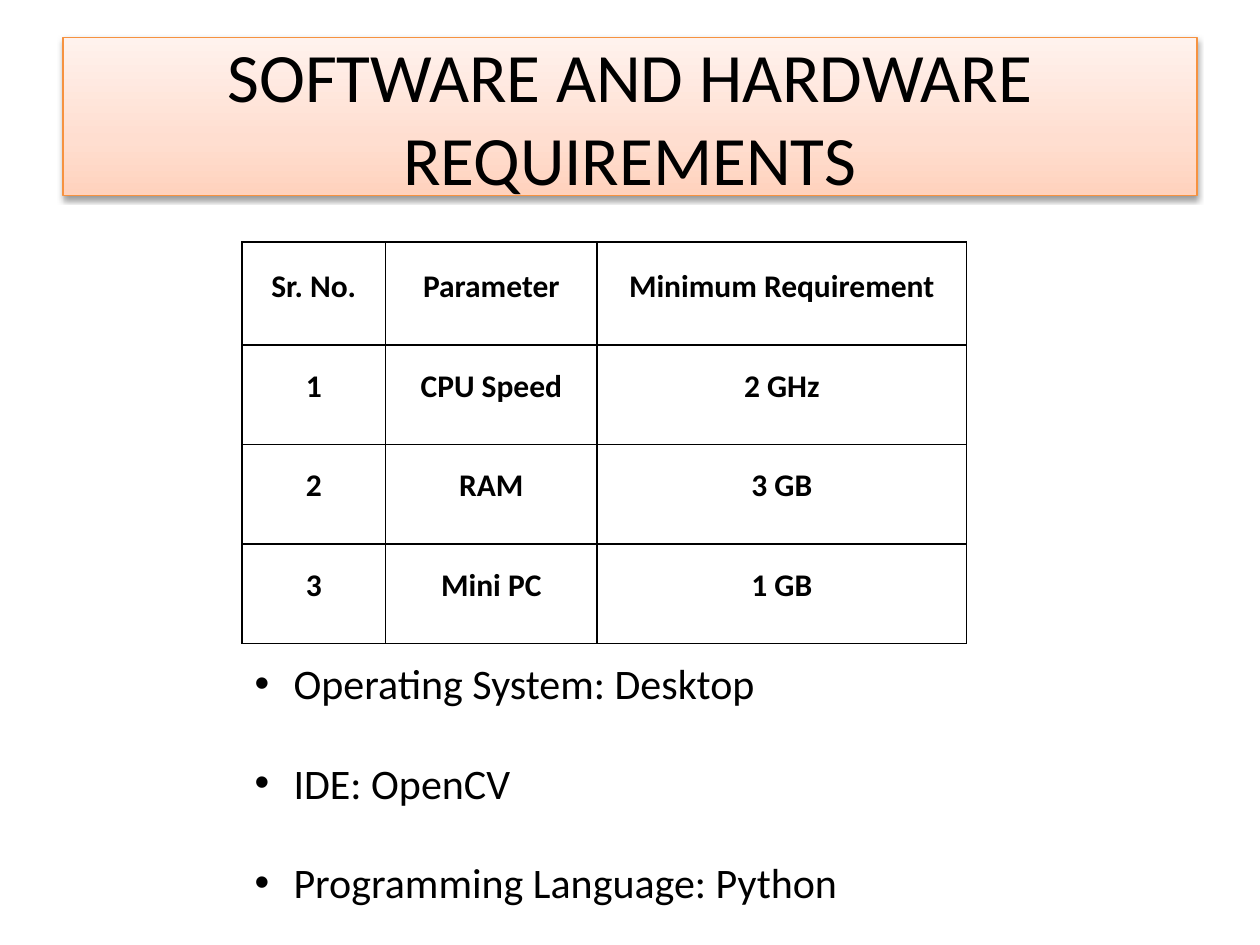
"""Build a slide of software and hardware requirements with a table and a list."""
from lxml import etree
from pptx import Presentation
from pptx.dml.color import RGBColor
from pptx.enum.text import MSO_ANCHOR, MSO_AUTO_SIZE, PP_ALIGN
from pptx.oxml import parse_xml
from pptx.oxml.ns import qn
from pptx.util import Inches, Pt

CENTER = PP_ALIGN.CENTER
MIDDLE, BOTTOM = MSO_ANCHOR.MIDDLE, MSO_ANCHOR.BOTTOM
NO_AUTOFIT = MSO_AUTO_SIZE.NONE
NAMESPACE = 'xmlns:a="http://schemas.openxmlformats.org/drawingml/2006/main"'
BLACK = "000000"
HEADER = ["Sr. No.", "Parameter", "Minimum Requirement"]
REQUIREMENTS = [["1", "CPU Speed", "2 GHz"], ["2", "RAM", "3 GB"], ["3", "Mini PC", "1 GB"]]
SOFTWARE = ["Operating System: Desktop", "IDE: OpenCV", "Programming Language: Python"]
COLUMN_WIDTHS = [1.14, 1.68, 2.93]
GRADIENT = [(0, "FFD2BD"), (35, "FFDED0"), (100, "FFF2ED")]


def color(value):
    return RGBColor.from_string(value)


def add_run(paragraph, text, size, bold=False):
    run = paragraph.add_run()
    run.text = text
    run.font.name = "Calibri"
    run.font.size = Pt(size)
    run.font.bold = bold
    run.font.color.rgb = color(BLACK)


presentation = Presentation()
presentation.slide_width, presentation.slide_height = Inches(10), Inches(7.5)
slide = presentation.slides.add_slide(presentation.slide_layouts[1])

title = slide.shapes.title
title.left, title.top, title.width, title.height = Inches(0.5), Inches(0.3), Inches(9), Inches(1.25)
title.text_frame.auto_size = NO_AUTOFIT
title.text_frame.vertical_anchor = MIDDLE
paragraph = title.text_frame.paragraphs[0]
paragraph.alignment = CENTER
add_run(paragraph, "SOFTWARE AND HARDWARE REQUIREMENTS", 39.6)
stops = "".join(
    f'<a:gs pos="{position * 1000}"><a:srgbClr val="{value}"/></a:gs>' for position, value in GRADIENT
)
title.line.color.rgb = color("F69240")
title.line.width = Pt(0.75)
title.line._ln.addprevious(parse_xml(
    f'<a:gradFill {NAMESPACE} rotWithShape="1"><a:gsLst>{stops}</a:gsLst>'
    '<a:lin ang="16200000" scaled="0"/></a:gradFill>'
))
title.line._ln.addnext(parse_xml(
    f'<a:effectLst {NAMESPACE}><a:outerShdw blurRad="40000" dist="20000" dir="5400000" rotWithShape="0">'
    f'<a:srgbClr val="{BLACK}"><a:alpha val="38000"/></a:srgbClr></a:outerShdw></a:effectLst>'
))

table_rows = [HEADER] + REQUIREMENTS
table = slide.shapes.add_table(
    2 * len(table_rows), len(HEADER), Inches(1.92), Inches(1.92), Inches(5.75), Inches(3.15)
).table
table.first_row = table.horz_banding = False
for column, width in zip(table.columns, COLUMN_WIDTHS):
    column.width = Inches(width)
for row_index, row in enumerate(table.rows):
    is_spacer = row_index % 2 == 1
    row.height = Inches(0.31 if is_spacer else 0.51 if row_index == 0 else 0.48)
    for column_index, cell in enumerate(row.cells):
        cell.margin_left = cell.margin_right = cell.margin_top = cell.margin_bottom = 0
        cell.vertical_anchor = BOTTOM
        paragraph = cell.text_frame.paragraphs[0]
        paragraph.alignment = CENTER
        paragraph.font.size = Pt(18)
        if not is_spacer:
            add_run(paragraph, table_rows[row_index // 2][column_index], 18, True)
        hidden_edge = "T" if is_spacer else "B"
        properties = cell._tc.get_or_add_tcPr()
        for edge in "LRTB":
            border = etree.SubElement(properties, qn(f"a:ln{edge}"), w=str(Pt(1)))
            if edge == hidden_edge:
                etree.SubElement(border, qn("a:noFill"))
            else:
                fill = etree.SubElement(border, qn("a:solidFill"))
                etree.SubElement(fill, qn("a:srgbClr"), val=BLACK)
        cell.fill.background()

software_list = slide.placeholders[1]
software_list.left, software_list.top = Inches(1.92), Inches(5.17)
software_list.width, software_list.height = Inches(5.58), Inches(2.3)
text_frame = software_list.text_frame
text_frame.auto_size = NO_AUTOFIT
for index, text in enumerate(SOFTWARE):
    paragraph = text_frame.add_paragraph() if index else text_frame.paragraphs[0]
    paragraph.space_before = Pt(28 if index else 0)
    properties = paragraph._p.get_or_add_pPr()
    properties.set("marL", str(Inches(0.31)))
    properties.set("indent", str(-Inches(0.31)))
    etree.SubElement(properties, qn("a:buFont"), typeface="Arial")
    etree.SubElement(properties, qn("a:buChar"), char="•")
    add_run(paragraph, text, 24)

presentation.save("out.pptx")
